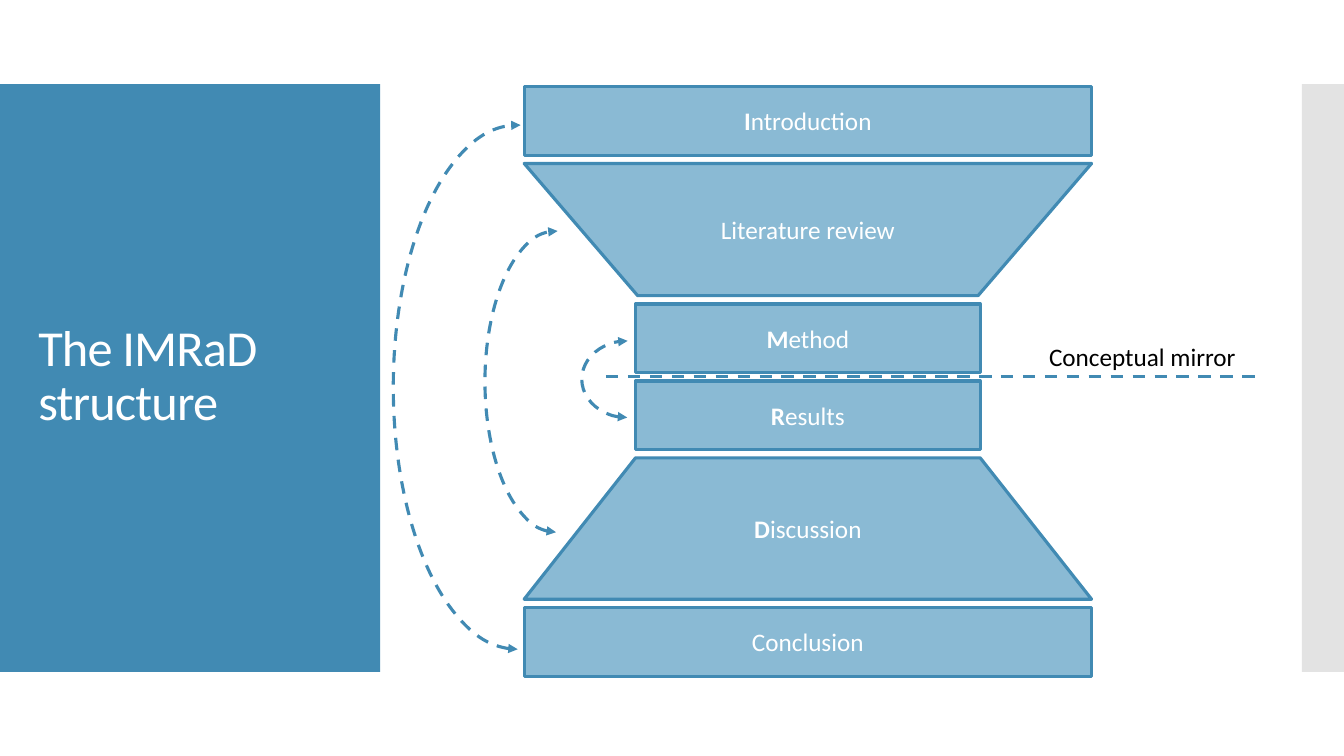
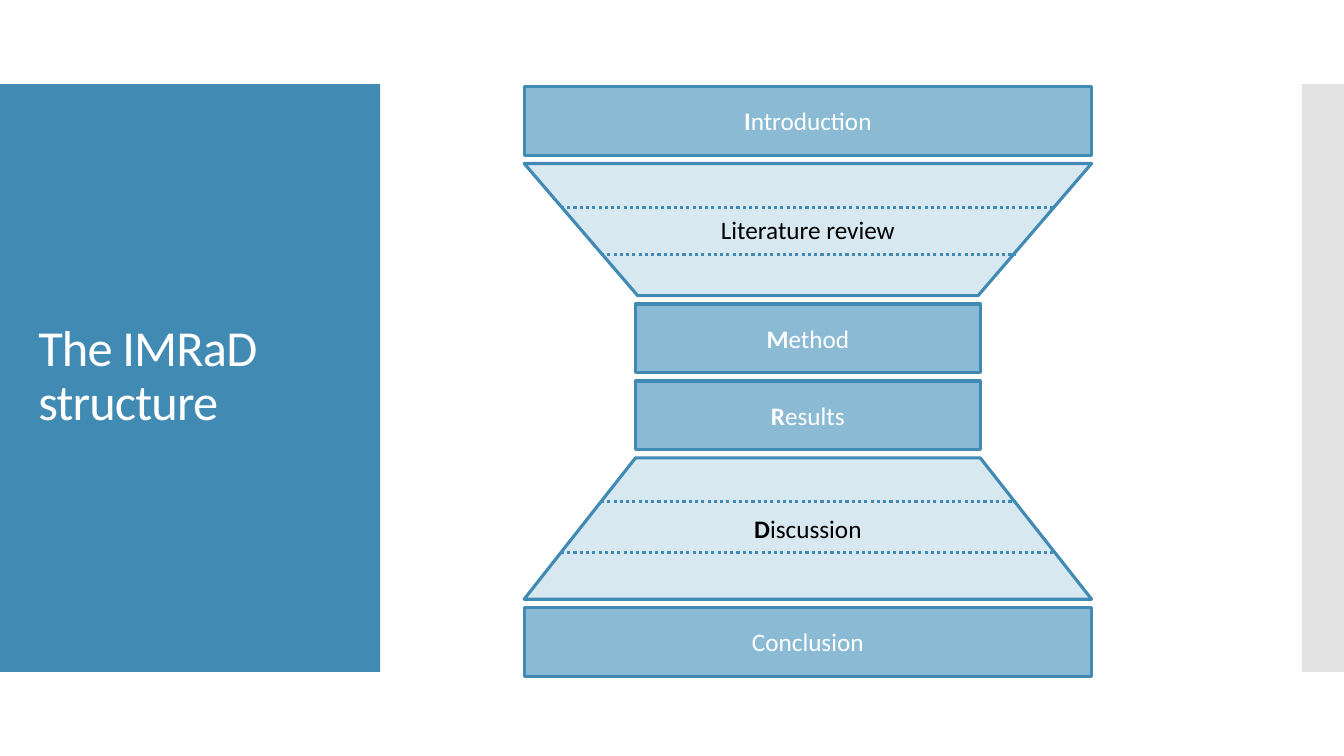
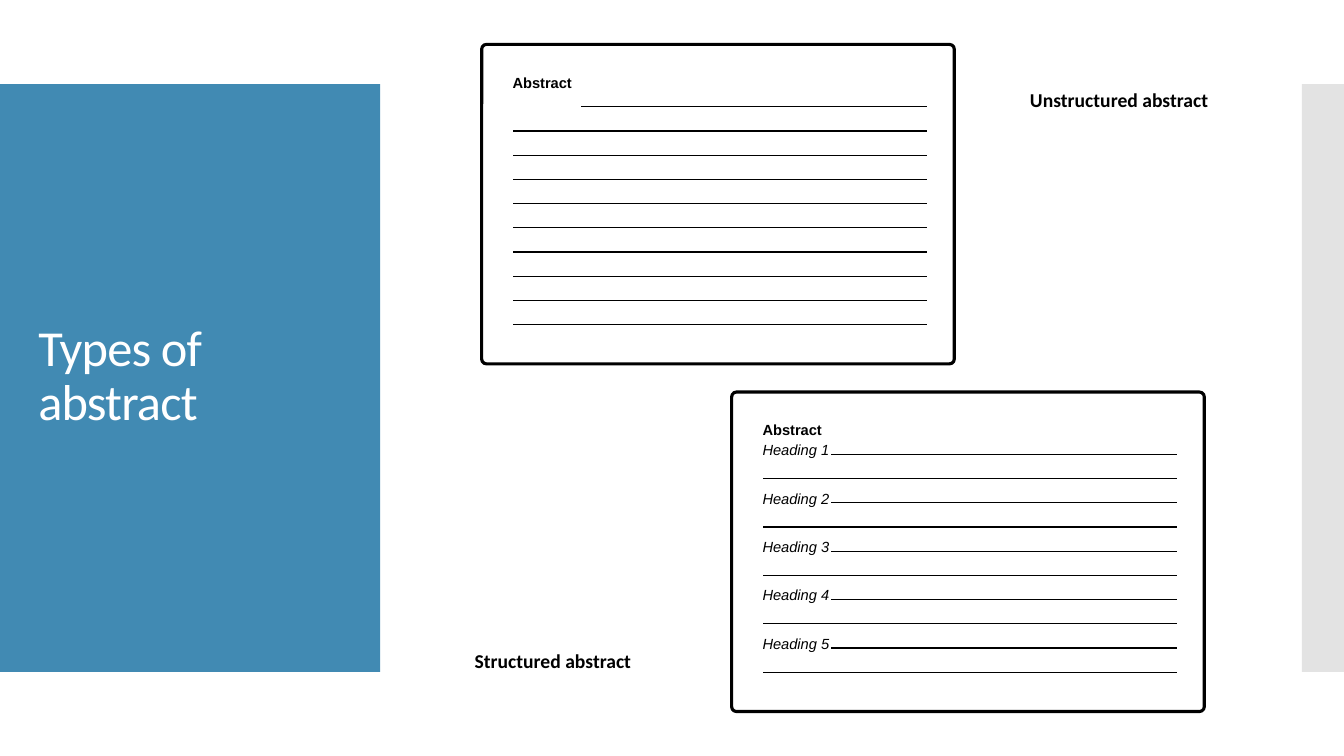
from lxml.etree import SubElement
from pptx import Presentation
from pptx.dml.color import RGBColor
from pptx.enum.dml import MSO_LINE
from pptx.enum.shapes import MSO_CONNECTOR, MSO_SHAPE
from pptx.enum.text import MSO_ANCHOR, MSO_AUTO_SIZE, PP_ALIGN
from pptx.oxml.ns import qn
from pptx.util import Cm, Pt

BLUE, MID_BLUE, PALE_BLUE = "418AB3", "8ABAD4", "D8E8F1"
GREY, WHITE, BLACK = "C8C8C8", "FFFFFF", "000000"

# Hourglass of stages, in cm
CENTRE, TOP, GAP = 20.36, 2.18, 0.21
WIDE, NARROW = 14.3, 8.69
BAR_HEIGHT = 1.73
STAGES = [
    # name, form, height, bold initial
    ("Introduction", "wide bar", BAR_HEIGHT, True),
    ("Literature review", "funnel", 3.33, False),
    ("Method", "narrow bar", BAR_HEIGHT, True),
    ("Results", "narrow bar", BAR_HEIGHT, True),
    ("Discussion", "spread", 3.56, True),
    ("Conclusion", "wide bar", BAR_HEIGHT, False),
]
DIVIDER_DEPTHS = (0.33, 0.69)  # share of the height, from the wide end
MIRROR_ARCS = [
    (9.91, 3.15, 6.27, 13.21),
    (12.22, 5.82, 3.58, 7.59),
    (14.66, 8.59, 2.29, 1.93),
]

# Abstract cards, in cm
CARD_WIDTH, CARD_HEIGHT = 11.91, 8.05
RULE_COUNT, FIRST_RULE, RULE_STEP = 10, 1.57, 0.61
RULE_LEFT, RULE_INDENT, RULE_RIGHT = 0.79, 2.51, 11.23
TEXT_LEFT, TEXT_WIDTH = 0.53, 10.69


def rgb(code):
    return RGBColor.from_string(code)


def paint(shape, fill=None, line=None, width=2.25):
    shape.shadow.inherit = False
    if fill:
        shape.fill.solid()
        shape.fill.fore_color.rgb = rgb(fill)
    else:
        shape.fill.background()
    if line:
        shape.line.color.rgb = rgb(line)
        shape.line.width = Pt(width)
    else:
        shape.line.fill.background()


def add_preset(slide, preset, left, top, width, height, **colours):
    shape = slide.shapes.add_shape(preset, Cm(left), Cm(top), Cm(width), Cm(height))
    paint(shape, **colours)
    return shape


def add_line(slide, start, end, colour, width, dash=None):
    line = slide.shapes.add_connector(
        MSO_CONNECTOR.STRAIGHT, *(Cm(value) for value in (*start, *end)))
    line.line.color.rgb = rgb(colour)
    line.line.width = Pt(width)
    if dash:
        line.line.dash_style = dash
    SubElement(line.element.spPr, qn("a:effectLst"))


def style_run(run, size, colour, font="Calibri", bold=False, italic=False):
    run.font.name = font
    run.font.size = Pt(size)
    run.font.color.rgb = rgb(colour)
    run.font.bold = bold
    run.font.italic = italic


def add_text(slide, text, left, top, width, height, size, align=PP_ALIGN.LEFT, **style):
    frame = slide.shapes.add_textbox(
        Cm(left), Cm(top), Cm(width), Cm(height)).text_frame
    frame.word_wrap = True
    frame.auto_size = MSO_AUTO_SIZE.SHAPE_TO_FIT_TEXT
    frame.text = text
    frame.paragraphs[0].alignment = align
    style_run(frame.paragraphs[0].runs[0], size, BLACK, **style)


def add_layout_bands(layout, slide):
    """Draw the side bands and move them behind everything on the layout."""
    for number, (left, width, colour) in enumerate([(0, 9.58, BLUE), (32.81, 1.06, GREY)]):
        band = add_preset(slide, MSO_SHAPE.RECTANGLE, left, 2.12, width, 14.81, fill=colour)
        if colour == GREY:
            tint = band.element.spPr.find(".//" + qn("a:srgbClr"))
            SubElement(tint, qn("a:alpha")).set("val", "50000")
        band.element.nvSpPr.cNvPr.set("id", str(100 + number))
        layout.shapes.element.insert(2 + number, band.element)


def add_titled_slide(deck, layout, title_text):
    slide = deck.slides.add_slide(layout)
    title = slide.shapes.title
    title.left, title.top, title.width, title.height = Cm(0.71), Cm(3.12), Cm(8.18), Cm(12.78)
    frame = title.text_frame
    frame.text = title_text
    frame.word_wrap = True
    frame.vertical_anchor = MSO_ANCHOR.MIDDLE
    paragraph = frame.paragraphs[0]
    paragraph.alignment = PP_ALIGN.LEFT
    paragraph.line_spacing = 0.9
    style_run(paragraph.runs[0], 36, WHITE)
    paragraph.runs[0].font._element.set("spc", "-60")
    return slide


def label_stage(shape, name, bold_initial, colour):
    frame = shape.text_frame
    frame.vertical_anchor = MSO_ANCHOR.MIDDLE
    paragraph = frame.paragraphs[0]
    paragraph.alignment = PP_ALIGN.CENTER
    if bold_initial:
        paragraph.text = name[0]
        paragraph.add_run().text = name[1:]
    else:
        paragraph.text = name
    for index, run in enumerate(paragraph.runs):
        style_run(run, 18, colour, bold=bold_initial and index == 0)


def add_spread(slide, top, height, fill):
    """Add a trapezoid that widens from the narrow to the wide bars."""
    corners = [(CENTRE + side * width / 2, y) for side, width, y in (
        (-1, WIDE, top + height), (1, WIDE, top + height), (1, NARROW, top), (-1, NARROW, top))]
    points = [(Cm(x), Cm(y)) for x, y in corners]
    builder = slide.shapes.build_freeform(*points[0], scale=1.0)
    builder.add_line_segments(points[1:], close=True)
    spread = builder.convert_to_shape()
    paint(spread, fill, BLUE)
    return spread


def add_dividers(slide, form, top, height):
    for depth in DIVIDER_DEPTHS:
        y = top + height * (depth if form == "funnel" else 1 - depth)
        half = (WIDE - depth * (WIDE - NARROW)) / 2
        add_line(slide, (CENTRE - half, y), (CENTRE + half, y), BLUE, 2.25, MSO_LINE.ROUND_DOT)


def add_hourglass(slide, divided=False):
    top = TOP
    for name, form, height, bold_initial in STAGES:
        sloped = form in ("funnel", "spread")
        highlighted = divided and sloped
        fill = PALE_BLUE if highlighted else MID_BLUE
        if form == "spread":
            stage = add_spread(slide, top, height, fill)
        else:
            preset = MSO_SHAPE.FLOWCHART_MANUAL_OPERATION if sloped else MSO_SHAPE.RECTANGLE
            width = NARROW if form == "narrow bar" else WIDE
            stage = add_preset(slide, preset, CENTRE - width / 2, top, width, height,
                               fill=fill, line=BLUE)
        label_stage(stage, name, bold_initial, BLACK if highlighted else WHITE)
        if highlighted:
            add_dividers(slide, form, top, height)
        top += height + GAP


def add_mirror(slide):
    mirror_y = TOP + sum(height + GAP for _, _, height, _ in STAGES[:3]) - GAP / 2
    add_line(slide, (15.27, mirror_y), (31.7, mirror_y), BLUE, 2.25, MSO_LINE.DASH)
    for box in MIRROR_ARCS:
        arc = add_preset(slide, MSO_SHAPE.ARC, *box, line=BLUE)
        arc.adjustments[0], arc.adjustments[1] = 162, 54.38
        arc.rotation = 180
        arc.line.dash_style = MSO_LINE.DASH
        outline = arc.element.spPr.find(qn("a:ln"))
        for end in ("a:headEnd", "a:tailEnd"):
            SubElement(outline, qn(end)).set("type", "triangle")
    add_text(slide, "Conceptual mirror", 25.83, 8.48, 5.92, 1.03, 18, PP_ALIGN.CENTER)


def add_abstract_card(slide, left, top, headed):
    """Add a ruled page; a headed one has a heading on every second rule."""
    card = add_preset(slide, MSO_SHAPE.ROUNDED_RECTANGLE, left, top, CARD_WIDTH, CARD_HEIGHT,
                      fill=WHITE, line=BLACK)
    card.adjustments[0] = 0.015

    def add_entry(text, y, **style):
        add_text(slide, text, left + TEXT_LEFT, y, TEXT_WIDTH, 0.74, 10.5, font="Arial", **style)

    add_entry("Abstract", top + 0.61, bold=True)
    for index in range(RULE_COUNT):
        y = top + FIRST_RULE + index * RULE_STEP
        has_heading = headed and index % 2 == 0
        indented = has_heading or index == 0
        add_line(slide, (left + (RULE_INDENT if indented else RULE_LEFT), y),
                 (left + RULE_RIGHT, y), BLACK, 0.85)
        if has_heading:
            add_entry(f"Heading {index // 2 + 1}", y - 0.46, italic=True)


def add_caption(slide, text, left, top):
    add_text(slide, text, left, top, TEXT_WIDTH, 0.86, 14, PP_ALIGN.CENTER, bold=True)


def main():
    deck = Presentation()
    deck.slide_width, deck.slide_height = Cm(33.87), Cm(19.05)
    layout = deck.slide_layouts[5]

    mirrored = add_titled_slide(deck, layout, "The IMRaD structure")
    add_layout_bands(layout, mirrored)
    add_hourglass(mirrored)
    add_mirror(mirrored)

    divided = add_titled_slide(deck, layout, "The IMRaD structure")
    add_hourglass(divided, divided=True)

    abstracts = add_titled_slide(deck, layout, "Types of abstract")
    add_abstract_card(abstracts, 18.44, 9.88, headed=True)
    add_abstract_card(abstracts, 12.14, 1.12, headed=False)
    add_caption(abstracts, "Unstructured abstract", 22.86, 2.08)
    add_caption(abstracts, "Structured abstract", 8.59, 16.23)

    deck.save("out.pptx")


if __name__ == "__main__":
    main()
